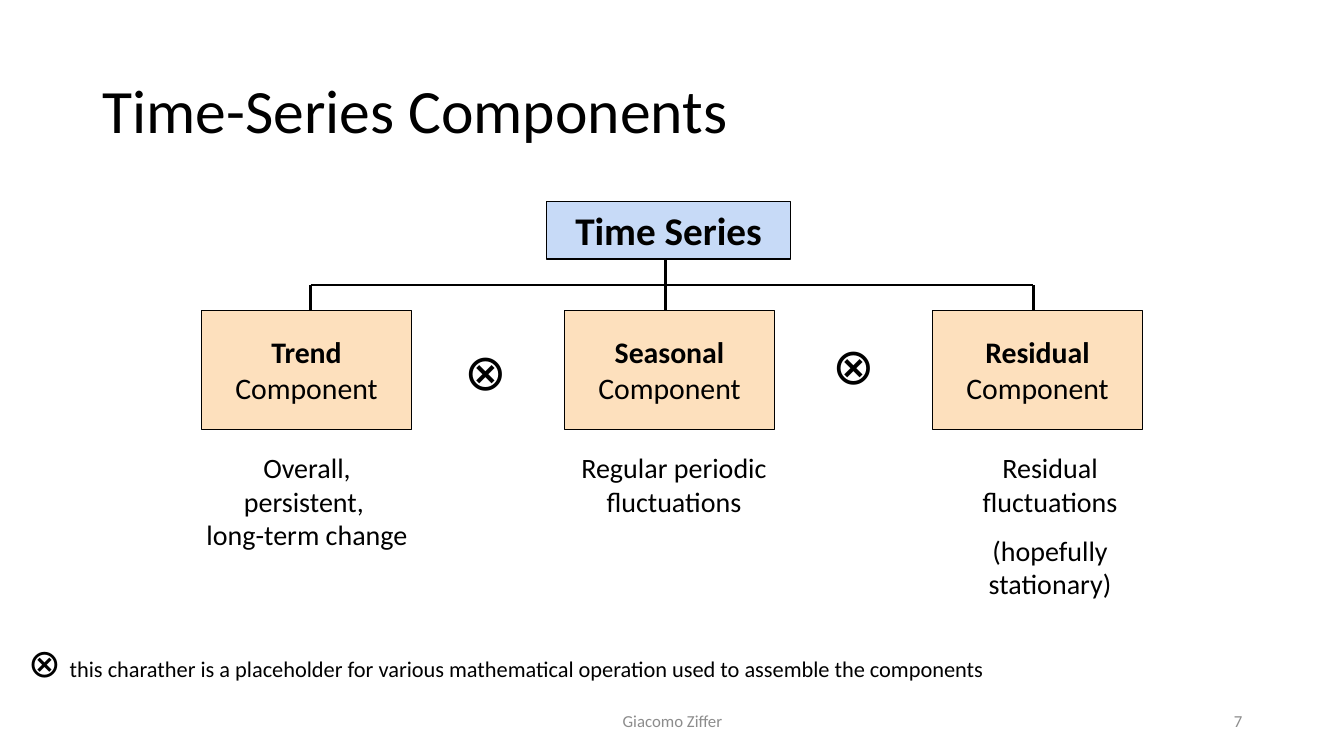
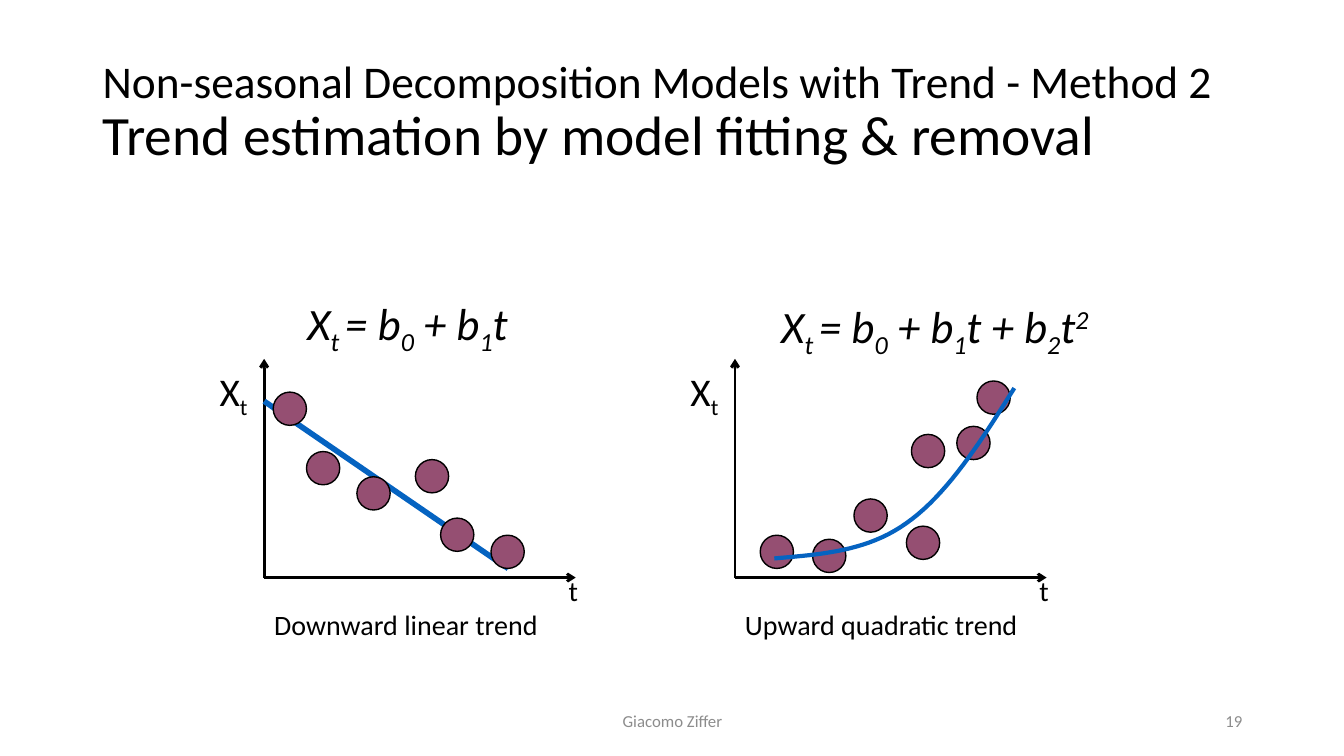
from lxml import etree
from pptx import Presentation
from pptx.dml.color import RGBColor
from pptx.enum.shapes import MSO_CONNECTOR, MSO_SHAPE
from pptx.enum.text import MSO_ANCHOR, PP_ALIGN
from pptx.oxml.ns import qn
from pptx.util import Pt

PX = 9144
BLACK = RGBColor(0x00, 0x00, 0x00)
GRAY = RGBColor(0x8C, 0x8C, 0x8C)
PALE_BLUE = RGBColor(0xC7, 0xDA, 0xF7)
PEACH = RGBColor(0xFD, 0xE0, 0xBD)
BLUE = RGBColor(0x05, 0x63, 0xC1)
PLUM = RGBColor(0x95, 0x4F, 0x72)

LEFT, CENTER, RIGHT = PP_ALIGN.LEFT, PP_ALIGN.CENTER, PP_ALIGN.RIGHT
TOP, MIDDLE = MSO_ANCHOR.TOP, MSO_ANCHOR.MIDDLE
RECTANGLE, OVAL = MSO_SHAPE.RECTANGLE, MSO_SHAPE.OVAL
STRAIGHT = MSO_CONNECTOR.STRAIGHT

BREAK = ("\n", {})
SUB, SUPER = {"baseline": -25000}, {"baseline": 30000}
BOLD = {"bold": True}
OPERATOR = "⊗"
DOT = 33
CURVE_STEPS = 20


def set_attributes(target, values):
    for name, value in values.items():
        setattr(target, name, value)


def scaled(*lengths):
    return [length * PX for length in lengths]


def cubic_points(start, control_1, control_2, end):
    for step in range(1, CURVE_STEPS + 1):
        t = step / CURVE_STEPS
        weights = ((1 - t) ** 3, 3 * t * (1 - t) ** 2, 3 * t * t * (1 - t), t ** 3)
        yield tuple(
            round(PX * sum(w * value for w, value in zip(weights, axis)))
            for axis in zip(start, control_1, control_2, end)
        )


class Deck:
    font = "Calibri"
    author = "Giacomo Ziffer"

    def __init__(self):
        self.presentation = Presentation()
        set_attributes(self.presentation, {"slide_width": 1333 * PX, "slide_height": 750 * PX})
        self.slide = None

    def start_slide(self, title, number):
        layout = self.presentation.slide_layouts[6]
        self.slide = self.presentation.slides.add_slide(layout)
        self.text((92, 40, 1150, 145), [title], 44, anchor=MIDDLE, line_spacing=0.9)
        self.text((442, 695, 450, 40), [[(self.author, {})]], 12, CENTER, MIDDLE, GRAY)
        self.text((942, 695, 300, 40), [[(str(number), {})]], 12, RIGHT, MIDDLE, GRAY)

    def set_text(self, frame, paragraphs, size, align=LEFT, anchor=TOP, color=BLACK, **spacing):
        set_attributes(frame, {"word_wrap": True, "vertical_anchor": anchor})
        for index, runs in enumerate(paragraphs):
            paragraph = frame.add_paragraph() if index else frame.paragraphs[0]
            set_attributes(paragraph, {"alignment": align, **spacing})
            if index:
                paragraph.space_before = Pt(11)
            for content, changes in runs:
                if content == "\n":
                    paragraph.add_line_break()
                    continue
                run = paragraph.add_run()
                run.text = content
                values = {"name": self.font, "size": Pt(size), **changes}
                baseline = values.pop("baseline", None)
                set_attributes(run.font, values)
                run.font.color.rgb = color
                if baseline:
                    run._r.get_or_add_rPr().set("baseline", str(baseline))

    def text(self, box, paragraphs, size, *placement, **options):
        textbox = self.slide.shapes.add_textbox(*scaled(*box))
        self.set_text(textbox.text_frame, paragraphs, size, *placement, **options)

    def shape(self, kind, box, fill, line_width):
        shape = self.slide.shapes.add_shape(kind, *scaled(*box))
        shape.shadow.inherit = False
        shape.fill.solid()
        shape.fill.fore_color.rgb = fill
        self.outline(shape.line, BLACK, line_width)
        return shape

    def labelled_box(self, box, fill, runs, size, anchor):
        frame = self.shape(RECTANGLE, box, fill, 0.75).text_frame
        self.set_text(frame, [runs], size, CENTER, anchor)

    def outline(self, line, color, width):
        line.color.rgb = color
        line.width = Pt(width)

    def line(self, start, end, width, color=BLACK, arrow=False):
        connector = self.slide.shapes.add_connector(STRAIGHT, *scaled(*start, *end))
        self.outline(connector.line, color, width)
        properties = connector._element.spPr
        if arrow:
            etree.SubElement(properties.find(qn("a:ln")), qn("a:tailEnd"), type="arrow")
        etree.SubElement(properties, qn("a:effectLst"))

    def curve(self, start, segments, width, color):
        builder = self.slide.shapes.build_freeform(*scaled(*start), scale=1.0)
        for segment in segments:
            builder.add_line_segments(list(cubic_points(start, *segment)), close=False)
            start = segment[-1]
        curve = builder.convert_to_shape()
        curve.shadow.inherit = False
        curve.fill.background()
        self.outline(curve.line, color, width)

    def dots(self, positions):
        for left, top in positions:
            self.shape(OVAL, (left, top, DOT, DOT), PLUM, 1)

    def axes(self, left, caption):
        origin = (left, 573)
        self.line(origin, (left, 356), 2, arrow=True)
        self.line(origin, (left + 309, 573), 2, arrow=True)
        self.text((left - 54, 359, 108, 57), [[("X", {}), ("t", SUB)]], 28)
        self.text((left + 292, 564, 108, 43), [[("t", {})]], 20)
        self.text((left, 598, 317, 43), [[(caption, {})]], 20)

    def formula(self, box, terms):
        runs = [(content, {"italic": True, **changes}) for content, changes in terms]
        self.text(box, [runs], 32)


def build_components(deck):
    deck.start_slide([("Time-Series Components", {})], 7)
    deck.labelled_box((542, 200, 242, 57), PALE_BLUE, [("Time Series", BOLD)], 28, TOP)

    components = [
        ("Trend", 200, 308, (192, 225),
         [[("Overall, persistent, ", {}), BREAK, ("long-term change", {})]]),
        ("Seasonal", 560, 660, (552, 233), [[("Regular periodic fluctuations", {})]]),
        ("Residual", 925, 1025, (925, 233),
         [[("Residual fluctuations", {})], [("(hopefully stationary)", {})]]),
    ]
    branch_y = 283
    deck.line((660, 257), (660, branch_y), 1.5)
    deck.line((308, branch_y), (1025, branch_y), 1.5)
    for name, left, branch_x, (text_left, text_width), description in components:
        deck.line((branch_x, branch_y), (branch_x, 308), 1.5)
        runs = [(name, BOLD), (" Component", {})]
        deck.labelled_box((left, 308, 208, 118), PEACH, runs, 21.3, MIDDLE)
        deck.text((text_left, 442, text_width, 162), description, 20, CENTER)

    for left, top in [(369, 332), (734, 327)]:
        deck.text((left, top, 225, 71), [[(OPERATOR, {})]], 36, CENTER)
    explanation = ("this charather is a placeholder for various mathematical operation "
                   "used to assemble the components")
    deck.text((18, 628, 1291, 57),
              [[(OPERATOR + " ", {}), (explanation, {"size": Pt(16)})]], 28)


def build_trend_models(deck):
    deck.start_slide([
        ("Non-seasonal Decomposition Models with Trend - Method 2", {"size": Pt(32.4)}),
        BREAK,
        ("Trend estimation by model fitting & removal", {"size": Pt(39.6)}),
    ], 19)
    linear_terms = [("X", {}), ("t ", SUB), ("= b", {}), ("0", SUB), (" + b", {}), ("1", SUB)]
    quadratic_terms = [("t + b", {}), ("2", SUB), ("t", {}), ("2", SUPER)]

    deck.axes(262, "Downward linear trend")
    deck.line((262, 398), (504, 564), 4, BLUE)
    deck.dots([(271, 389), (304, 448), (437, 514), (412, 456), (354, 473), (487, 531)])
    deck.formula((295, 288, 235, 64), linear_terms + [("t", {})])

    deck.axes(729, "Upward quadratic trend")
    deck.dots([(754, 531), (806, 535), (904, 431), (899, 522), (847, 495),
               (949, 423), (969, 378)])
    deck.curve((1006, 385), [
        ((973, 438), (939, 491), (899, 519)),
        ((860, 547), (814, 550), (768, 554)),
    ], 3, BLUE)
    deck.formula((765, 291, 354, 64), linear_terms + quadratic_terms)


def main():
    deck = Deck()
    build_components(deck)
    build_trend_models(deck)
    deck.presentation.save("out.pptx")


if __name__ == "__main__":
    main()
